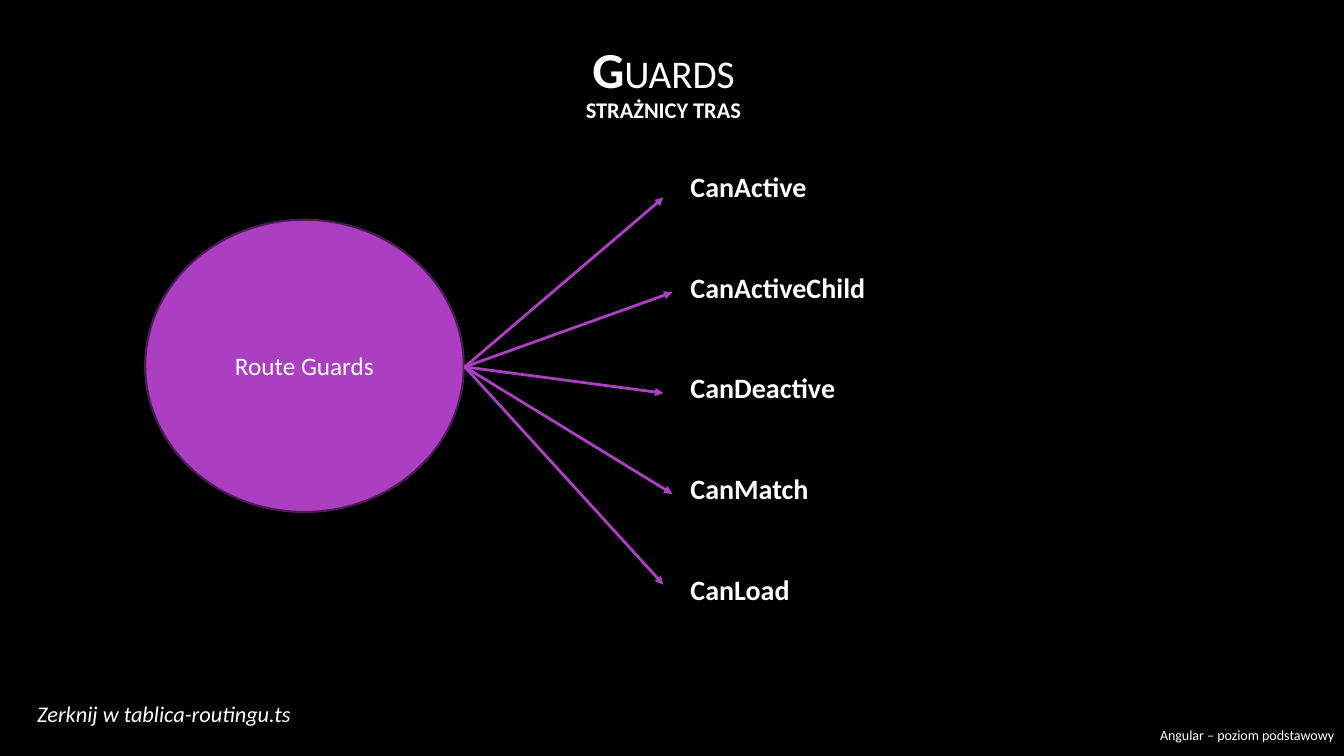
from pptx import Presentation
from pptx.dml.color import RGBColor
from pptx.enum.shapes import MSO_CONNECTOR, MSO_SHAPE
from pptx.enum.text import MSO_ANCHOR, PP_ALIGN
from pptx.oxml.ns import qn
from pptx.util import Inches, Pt
from lxml import etree

LEFT, CENTER, RIGHT = PP_ALIGN.LEFT, PP_ALIGN.CENTER, PP_ALIGN.RIGHT
TOP, MIDDLE = MSO_ANCHOR.TOP, MSO_ANCHOR.MIDDLE
ELLIPSE, STRAIGHT = MSO_SHAPE.OVAL, MSO_CONNECTOR.STRAIGHT
BLACK, WHITE, PURPLE, DARK_PURPLE = "000000", "FFFFFF", "AC3EC1", "4B1B55"


def color(hex_code):
    return RGBColor.from_string(hex_code)


def write(shape, paragraphs, align=LEFT, anchor=TOP, wrap=True, gap=0,
          spacing=1.0, italic=False):
    """Fill a shape with paragraphs, each a list of (text, size, bold) runs."""
    frame = shape.text_frame
    frame.word_wrap = wrap
    frame.vertical_anchor = anchor
    for index, runs in enumerate(paragraphs):
        paragraph = frame.add_paragraph() if index else frame.paragraphs[0]
        paragraph.alignment = align
        paragraph.line_spacing = spacing
        paragraph.space_before = Pt(gap if index else 0)
        for text, size, bold in runs:
            run = paragraph.add_run()
            run.text = text
            run.font.name = "Calibri"
            run.font.size = Pt(size)
            run.font.bold = bold
            run.font.italic = italic
            run.font.color.rgb = color(WHITE)


prs = Presentation()
prs.slide_width, prs.slide_height = Inches(13.33), Inches(7.5)
slide = prs.slides.add_slide(prs.slide_layouts[6])
slide.background.fill.solid()
slide.background.fill.fore_color.rgb = color(BLACK)
shapes = slide.shapes

# Heading and footer
title = shapes.add_textbox(Inches(1.04), Inches(-0.01), Inches(11.08), Inches(1.59))
write(title, [[("G", 36, True), ("UARDS", 28, False)], [("STRAŻNICY TRAS", 16, True)]],
      align=CENTER, anchor=MIDDLE, spacing=0.9)
title.text_frame.margin_top = Inches(0.15)

footer = shapes.add_textbox(Inches(11.27), Inches(7.09), Inches(2.06), Inches(0.41))
write(footer, [[("Angular – poziom podstawowy", 10, False)]], align=RIGHT, anchor=MIDDLE)

# Guard types
guards = ["CanActive", "CanActiveChild", "CanDeactive", "CanMatch", "CanLoad"]
guard_list = shapes.add_textbox(Inches(6.75), Inches(1.63), Inches(1.95), Inches(4.48))
write(guard_list, [[(guard, 20, True)] for guard in guards], wrap=False, gap=48)

# Hub with an arrow to each guard
hub = shapes.add_shape(ELLIPSE, Inches(1.44), Inches(2.18), Inches(3.16), Inches(2.9))
hub.shadow.inherit = False
hub.fill.solid()
hub.fill.fore_color.rgb = color(PURPLE)
hub.line.color.rgb = color(DARK_PURPLE)
hub.line.width = Pt(1.5)
write(hub, [[("Route Guards", 18, False)]], align=CENTER, anchor=MIDDLE)

arrow_tips = [(6.58, 1.96), (6.67, 2.9), (6.58, 3.9), (6.67, 4.9), (6.58, 5.8)]
for tip_x, tip_y in arrow_tips:
    arrow = shapes.add_connector(STRAIGHT, Inches(4.61), Inches(3.64),
                                 Inches(tip_x), Inches(tip_y))
    arrow.line.color.rgb = color(PURPLE)
    arrow.line.width = Pt(2)
    etree.SubElement(arrow.line._get_or_add_ln(), qn("a:tailEnd"), type="triangle")
    etree.SubElement(arrow._element.spPr, qn("a:effectLst"))

hint = shapes.add_textbox(Inches(0.27), Inches(6.9), Inches(2.75), Inches(0.37))
write(hint, [[("Zerknij w tablica-routingu.ts", 16, False)]], wrap=False, italic=True)

prs.save("out.pptx")
